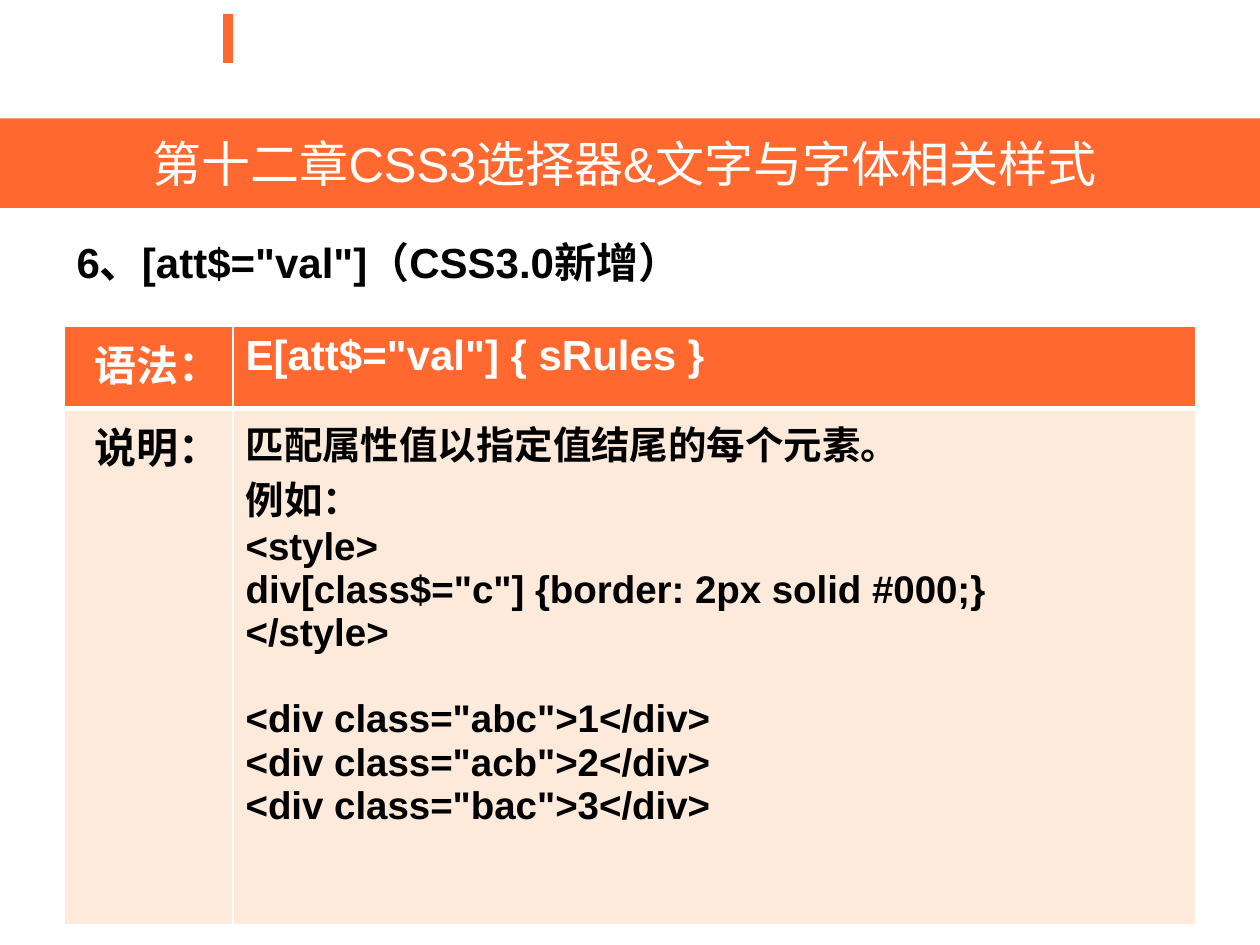
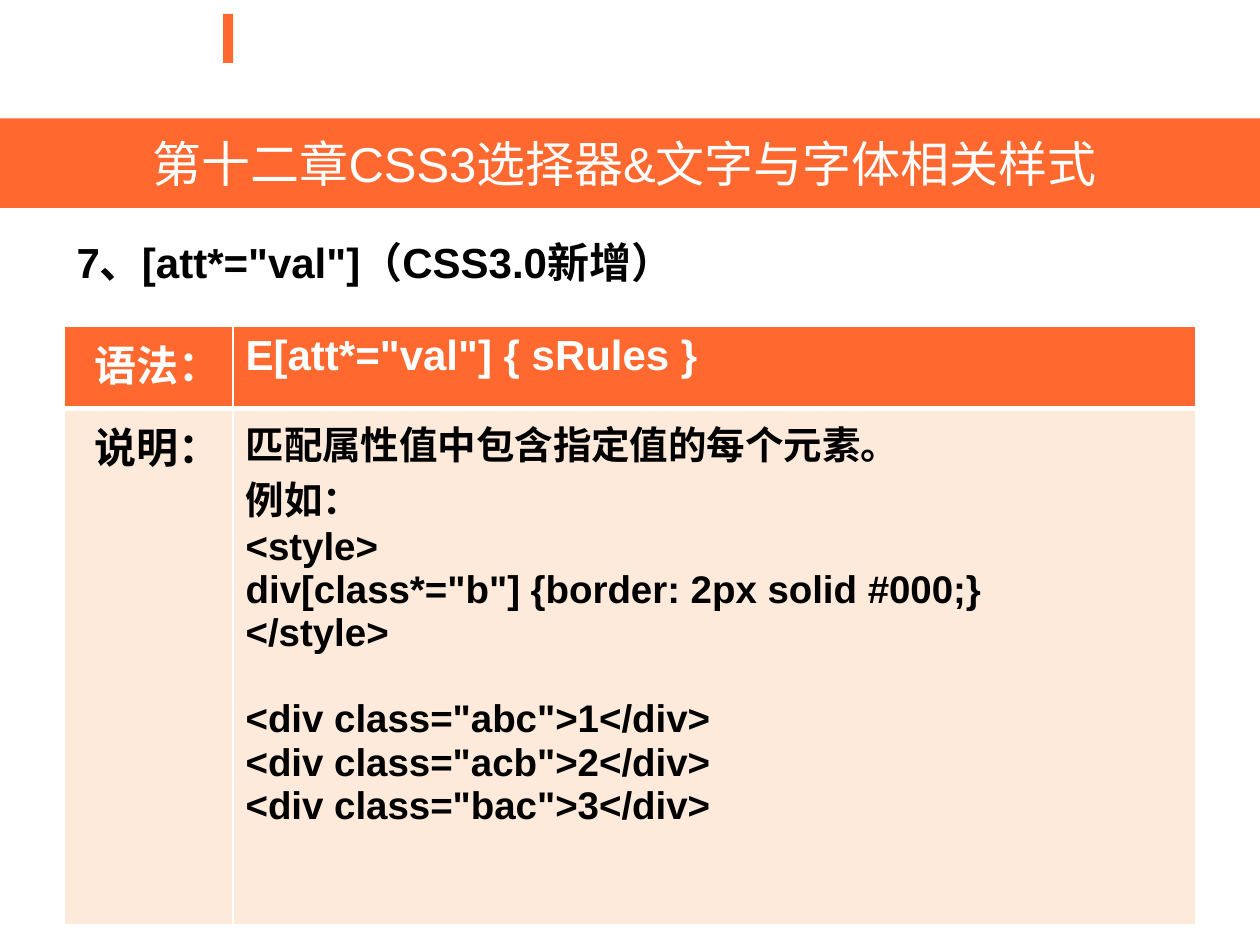
from pptx import Presentation
from pptx.dml.color import RGBColor
from pptx.enum.shapes import MSO_SHAPE
from pptx.enum.text import MSO_ANCHOR, PP_ALIGN
from pptx.oxml import parse_xml
from pptx.oxml.ns import nsdecls
from pptx.util import Inches, Pt

# Content
CHAPTER = "第十二章CSS3选择器&文字与字体相关样式 "
LABELS = ("语法：", "说明：")
SELECTORS = [
    {"number": 6, "operator": "$=", "value": "c",
     "meaning": "匹配属性值以指定值结尾的每个元素。"},
    {"number": 7, "operator": "*=", "value": "b",
     "meaning": "匹配属性值中包含指定值的每个元素。"},
]
DIV_CLASSES = ("abc", "acb", "bac")

# Shared look
ORANGE = RGBColor(0xFF, 0x68, 0x2F)
CREAM = RGBColor(0xFD, 0xEA, 0xDA)
WHITE = RGBColor(0xFF, 0xFF, 0xFF)
BLACK = RGBColor(0, 0, 0)
FONT = "Arial"
TITLE_SIZE, HEAD_SIZE, BODY_SIZE = 28, 24, 22
CODE_GAP = 24.6

# Layout in inches
WIDTH, HEIGHT = 10, 7.5
LEFT = 0.51
TICK = (1.77, 0.11, 0.08, 0.39)
BAND = (0, 0.94, WIDTH, 0.71)
HEADING = (LEFT, 1.88, 9, 0.6)
TABLE_TOP = 2.59
COLUMNS = (1.34, 7.64)
ROWS = (0.65, 4.1)


def inches(box):
    return [Inches(v) for v in box]


def add_text(p, text, size, color, bold=True):
    r = p.add_run()
    r.text = text
    r.font.name = FONT
    r.font.size = Pt(size)
    r.font.bold = bold
    r.font.color.rgb = color


def add_bar(s, box):
    sp = s.shapes.add_shape(MSO_SHAPE.RECTANGLE, *inches(box))
    sp.shadow.inherit = False
    sp.fill.solid()
    sp.fill.fore_color.rgb = ORANGE
    sp.line.fill.background()
    return sp


def style_cell(cell, fill, bottom):
    tc_pr = cell._tc.get_or_add_tcPr()
    for side, width in (("L", 1), ("R", 1), ("T", 1), ("B", bottom)):
        tc_pr.append(parse_xml(
            f'<a:ln{side} {nsdecls("a")} w="{Pt(width)}"><a:solidFill>'
            f'<a:srgbClr val="{WHITE}"/></a:solidFill></a:ln{side}>'))
    cell.fill.solid()
    cell.fill.fore_color.rgb = fill


def add_frame(s):
    """Tick mark and chapter band."""
    add_bar(s, TICK)
    tf = add_bar(s, BAND).text_frame
    tf.word_wrap = True
    tf.vertical_anchor = MSO_ANCHOR.MIDDLE
    p = tf.paragraphs[0]
    p.alignment = PP_ALIGN.CENTER
    add_text(p, CHAPTER, TITLE_SIZE, WHITE, bold=False)


def add_heading(s, text):
    tf = s.shapes.add_textbox(*inches(HEADING)).text_frame
    tf.word_wrap = True
    tf.margin_top = 0
    add_text(tf.paragraphs[0], text, HEAD_SIZE, BLACK)


def add_syntax_table(s, syntax, lines, gap_before):
    box = (LEFT, TABLE_TOP, sum(COLUMNS), sum(ROWS))
    table = s.shapes.add_table(len(ROWS), len(COLUMNS), *inches(box)).table
    for column, width in zip(table.columns, COLUMNS):
        column.width = Inches(width)
    looks = ((ORANGE, WHITE, 3, HEAD_SIZE, [syntax]),
             (CREAM, BLACK, 1, BODY_SIZE, lines))
    for i, (fill, color, bottom, size, texts) in enumerate(looks):
        table.rows[i].height = Inches(ROWS[i])
        label, detail = table.cell(i, 0), table.cell(i, 1)
        for cell in (label, detail):
            style_cell(cell, fill, bottom)
        p = label.text_frame.paragraphs[0]
        p.alignment = PP_ALIGN.RIGHT
        add_text(p, LABELS[i], HEAD_SIZE, color)
        tf = detail.text_frame
        for n, text in enumerate(texts):
            p = tf.add_paragraph() if n else tf.paragraphs[0]
            if text == gap_before:
                p.space_before = Pt(CODE_GAP)
            add_text(p, text, size, color)


def main():
    prs = Presentation()
    prs.slide_width, prs.slide_height = Inches(WIDTH), Inches(HEIGHT)
    divs = [f'<div class="{name}">{n}</div>'
            for n, name in enumerate(DIV_CLASSES, 1)]
    for item in SELECTORS:
        s = prs.slides.add_slide(prs.slide_layouts[6])
        attribute = f'[att{item["operator"]}"val"]'
        rule = (f'div[class{item["operator"]}"{item["value"]}"] '
                '{border: 2px solid #000;}')
        lines = [item["meaning"], "例如：", "<style>", rule, "</style>", *divs]
        add_frame(s)
        add_heading(s, f'{item["number"]}、{attribute}（CSS3.0新增）')
        add_syntax_table(s, f"E{attribute} {{ sRules }}", lines, divs[0])
    prs.save("out.pptx")


if __name__ == "__main__":
    main()
